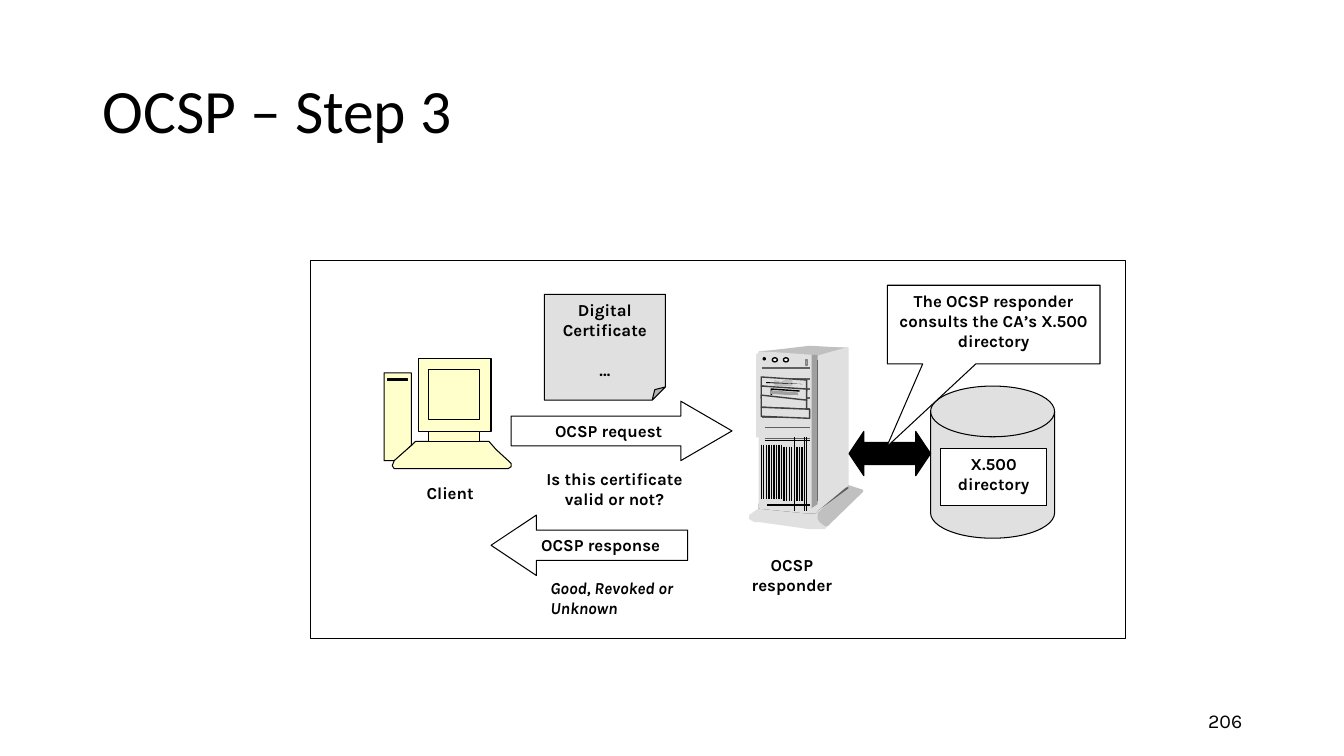
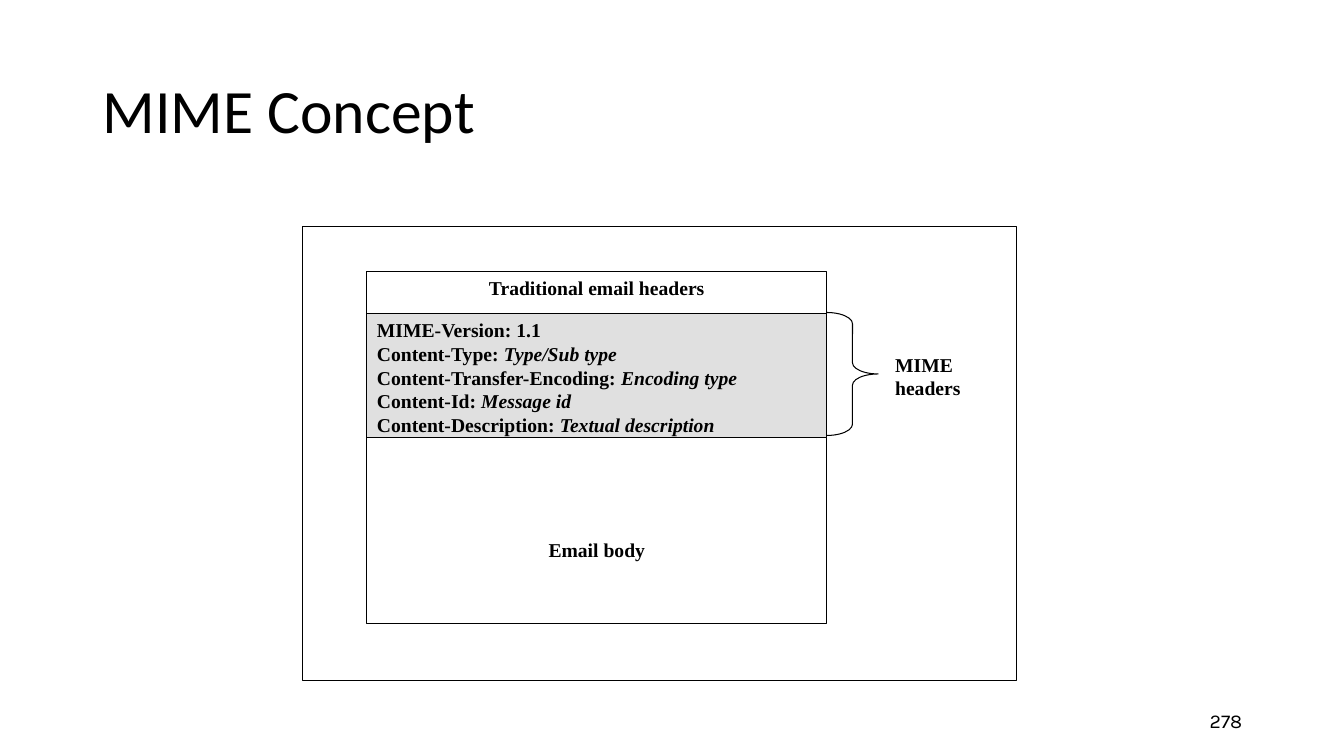
"""Build two slides on network security: an OCSP exchange and the MIME concept."""
from dataclasses import dataclass
from typing import NamedTuple, Optional

from lxml import etree
from pptx import Presentation
from pptx.dml.color import RGBColor
from pptx.enum.shapes import MSO_CONNECTOR, MSO_SHAPE
from pptx.enum.text import MSO_ANCHOR, PP_ALIGN
from pptx.oxml.ns import qn
from pptx.shapes.base import BaseShape
from pptx.slide import Slide
from pptx.util import Inches, Pt

LEFT, CENTER, RIGHT = PP_ALIGN.LEFT, PP_ALIGN.CENTER, PP_ALIGN.RIGHT
TOP, MIDDLE = MSO_ANCHOR.TOP, MSO_ANCHOR.MIDDLE
STRAIGHT = MSO_CONNECTOR.STRAIGHT
RECT, OVAL = MSO_SHAPE.RECTANGLE, MSO_SHAPE.OVAL
CYLINDER, NOTE = MSO_SHAPE.FLOWCHART_MAGNETIC_DISK, MSO_SHAPE.FOLDED_CORNER
RIGHT_ARROW, LEFT_ARROW = MSO_SHAPE.RIGHT_ARROW, MSO_SHAPE.LEFT_ARROW
TWO_WAY_ARROW = MSO_SHAPE.LEFT_RIGHT_ARROW
CALLOUT, BRACE = MSO_SHAPE.RECTANGULAR_CALLOUT, MSO_SHAPE.RIGHT_BRACE

COLORS = {
    "black": "000000", "white": "FFFFFF", "cream": "FFFFCC", "pale": "E0E0E0",
    "silver": "C0C0C0", "gray": "A0A0A0", "medium": "808080",
    "dim": "606060", "dark": "404040",
}
TITLE_FONT, DIAGRAM_FONT, MAIL_FONT = "Calibri", "Karla", "Times New Roman"
THIN, SERVER_LINE = 0.75, 1
UNITS_PER_INCH = 100


class TextLine(NamedTuple):
    roman: str = ""
    italic: str = ""
    space_before: float = 0


class TextStyle(NamedTuple):
    font: str
    size: float
    bold: bool = True
    align: PP_ALIGN = CENTER


DIAGRAM = TextStyle(DIAGRAM_FONT, 12)
DIAGRAM_LEFT = DIAGRAM._replace(align=LEFT)
MAIL = TextStyle(MAIL_FONT, 14)
MAIL_LEFT = MAIL._replace(align=LEFT)
NUMBER = TextStyle(DIAGRAM_FONT, 14, False, RIGHT)
TITLE = TextStyle(TITLE_FONT, 44, False, LEFT)


@dataclass(frozen=True)
class Block:
    """A preset shape; lengths are in inches."""
    box: tuple[float, float, float, float]
    lines: tuple[TextLine, ...] = ()
    style: TextStyle = DIAGRAM
    preset: MSO_SHAPE = RECT
    fill: Optional[str] = "white"
    line: Optional[str] = "black"
    width: float = THIN
    adjustments: tuple[float, ...] = ()
    top_inset: float = 0.05


@dataclass(frozen=True)
class Outline:
    """A freeform; points are in hundredths of an inch."""
    points: tuple[tuple[int, int], ...]
    fill: Optional[str]
    line: Optional[str] = None
    width: float = SERVER_LINE
    closed: bool = True


class Stroke(NamedTuple):
    x1: float
    y1: float
    x2: float
    y2: float
    color: str = "black"


def rgb(color: str) -> RGBColor:
    return RGBColor.from_string(COLORS[color])


def paint(shape: BaseShape, fill: Optional[str], line: Optional[str], width: float) -> None:
    shape.shadow.inherit = False
    if fill:
        shape.fill.solid()
        shape.fill.fore_color.rgb = rgb(fill)
    else:
        shape.fill.background()
    if line:
        shape.line.color.rgb = rgb(line)
        shape.line.width = Pt(width)
    else:
        shape.line.fill.background()


def write(shape: BaseShape, lines: tuple[TextLine, ...], style: TextStyle,
          anchor: MSO_ANCHOR = TOP) -> None:
    frame = shape.text_frame
    frame.word_wrap = True
    frame.vertical_anchor = anchor
    for index, line in enumerate(lines):
        paragraph = frame.add_paragraph() if index else frame.paragraphs[0]
        paragraph.alignment = style.align
        if line.space_before:
            paragraph.space_before = Pt(line.space_before)
        font = paragraph.font
        font.name, font.size, font.bold = style.font, Pt(style.size), style.bold
        font.color.rgb = rgb("black")
        for text, italic in ((line.roman, False), (line.italic, True)):
            if text:
                run = paragraph.add_run()
                run.text = text
                if italic:
                    run.font.italic = True


def adjust(shape: BaseShape, values: tuple[float, ...]) -> None:
    guides = shape._element.spPr.find(qn("a:prstGeom")).find(qn("a:avLst"))
    for guide in list(guides):
        guides.remove(guide)
    for index, value in enumerate(values, 1):
        name = f"adj{index}" if len(values) > 1 else "adj"
        etree.SubElement(guides, qn("a:gd"), name=name, fmla=f"val {round(value * 100000)}")


def draw_block(slide: Slide, block: Block) -> None:
    shape = slide.shapes.add_shape(block.preset, *map(Inches, block.box))
    if block.adjustments:
        adjust(shape, block.adjustments)
    paint(shape, block.fill, block.line, block.width)
    if block.lines:
        shape.text_frame.margin_top = Inches(block.top_inset)
        write(shape, block.lines, block.style)


def draw_outline(slide: Slide, outline: Outline) -> None:
    start, *rest = outline.points
    builder = slide.shapes.build_freeform(*start, scale=Inches(1) / UNITS_PER_INCH)
    builder.add_line_segments(rest, close=outline.closed)
    paint(builder.convert_to_shape(), outline.fill, outline.line, outline.width)


def draw_stroke(slide: Slide, stroke: Stroke) -> None:
    connector = slide.shapes.add_connector(STRAIGHT, *map(Inches, stroke[:4]))
    connector.line.color.rgb = rgb(stroke.color)
    connector.line.width = Pt(SERVER_LINE)
    etree.SubElement(connector._element.spPr, qn("a:effectLst"))


def draw_parts(slide: Slide, parts: tuple) -> None:
    painters = {Block: draw_block, Outline: draw_outline, Stroke: draw_stroke}
    for part in parts:
        painters[type(part)](slide, part)


def add_titled_slide(deck: Presentation, heading: str, number: str) -> Slide:
    slide = deck.slides.add_slide(deck.slide_layouts[5])
    page = slide.shapes.add_textbox(*map(Inches, (9.42, 6.95, 3, 0.4)))
    write(page, (TextLine(number),), NUMBER, MIDDLE)
    title = slide.shapes.title
    title.left, title.top, title.width, title.height = map(Inches, (0.92, 0.4, 11.5, 1.45))
    write(title, (TextLine(heading),), TITLE, MIDDLE)
    title.text_frame.paragraphs[0].line_spacing = 0.9
    return slide


def bay(top: int, right: int, left_height: int, right_top: int, right_bottom: int) -> Outline:
    return Outline(((755, top), (755, top + left_height), (right, right_bottom),
                    (right, right_top)), "pale", "dark")


CLIENT = (
    Outline(((381, 370), (408, 370), (408, 442), (392, 457), (381, 457)),
            "cream", "black", THIN),
    Outline(((412, 438), (485, 438), (492, 446), (504, 457), (507, 460), (507, 463),
             (504, 465), (391, 465), (389, 462), (391, 457), (408, 442)),
            "cream", "black", THIN),
    Block((4.15, 3.56, 0.72, 0.72), fill="cream"),
    Block((4.25, 4.28, 0.51, 0.1), fill="cream"),
    Block((4.25, 3.67, 0.51, 0.49), fill="cream"),
    Block((3.84, 3.76, 0.2, 0.02), fill="black"),
    Block((4.06, 4.74, 0.81, 0.29), (TextLine("Client"),), line=None),
)

CASE = (
    Outline(((753, 504), (743, 511), (743, 515), (748, 518), (753, 518), (803, 525),
             (818, 525), (823, 520), (838, 481)), "pale"),
    Outline(((811, 509), (811, 515), (813, 518), (818, 522), (821, 522), (823, 520),
             (856, 488), (856, 486), (841, 481)), "silver"),
    Outline(((841, 484), (811, 506), (808, 509), (803, 509), (753, 504), (753, 500)),
            "dim", "dim"),
    Outline(((841, 345), (841, 481), (811, 506), (808, 509), (803, 509), (753, 504),
             (753, 349), (805, 345)), "pale", "pale"),
    Outline(((753, 349), (803, 343), (838, 345), (806, 354), (753, 352)), "silver"),
    Outline(((753, 497), (753, 500), (808, 502), (808, 354), (805, 352), (763, 349),
             (753, 349), (750, 352), (750, 434), (753, 434)), "pale"),
    Stroke(8.11, 3.57, 8.11, 4.97),
    Outline(((805, 504), (811, 500), (811, 352), (805, 352)), "gray"),
)

SEAMS = tuple(
    Stroke(left, y, 8.03, y, color) for left, y, color in (
        (7.56, 3.65, "dim"), (7.59, 3.76, "dim"), (7.59, 3.86, "dim"),
        (7.59, 3.95, "dim"), (7.59, 4.05, "dim"), (7.56, 4.14, "dim"),
        (7.59, 4.24, "dim"), (7.59, 4.35, "dim"), (7.59, 4.37, "black"),
        (7.61, 5.01, "black")))

GRILLE = tuple(
    Stroke(x, top, x, top + 0.54)
    for x, top in ((7.55 + 0.43 * i / 17, 4.41 if i < 9 else 4.43) for i in range(18))
) + tuple(Stroke(x, 4.34, x, 5.07) for x in (7.88, 7.98, 8))

LIGHTS = tuple(
    Block((x, 3.55, size, min(size, 0.04)), preset=OVAL, fill=fill, width=SERVER_LINE)
    for x, size, fill in ((7.57, 0.02, "black"), (7.66, 0.05, "white"), (7.77, 0.05, "white"))
) + (Block((7.99, 3.57, 0.02, 0.05), fill="gray", line="medium", width=SERVER_LINE),)

DRIVES = (
    bay(374, 800, 9, 377, 388),
    bay(383, 800, 12, 386, 397),
    bay(392, 800, 12, 397, 406),
    bay(404, 803, 9, 406, 415),
    Outline(((765, 392), (765, 386), (793, 388)), None, "black", closed=False),
    Outline(((765, 388), (765, 390), (791, 392), (791, 390)), "gray", "gray"),
    Outline(((783, 392), (791, 392), (791, 395)), "pale"),
    Outline(((768, 377), (768, 383), (786, 383), (786, 377), (778, 377), (775, 379)),
            "silver"),
    Outline(((760, 379), (796, 381), (760, 380)), "black"),
)

EXCHANGE = (
    Block((9.33, 4.45, 1.05, 0.57), (TextLine("X.500 directory"),)),
    Block((5.07, 3.98, 2.19, 0.59), (TextLine("OCSP request"),),
          preset=RIGHT_ARROW, fill=None, adjustments=(0.5, 0.861)),
    Block((5.4, 2.92, 1.2, 1.05),
          (TextLine("Digital Certificate"), TextLine("…", space_before=14)),
          preset=NOTE, fill="pale", adjustments=(0.125,)),
    Block((5.16, 4.6, 1.87, 0.62), (TextLine("Is this certificate valid or not?"),), line=None),
    Block((7.27, 5.45, 1.17, 0.56), (TextLine("OCSP responder"),), line=None),
    Block((8.42, 4.28, 0.81, 0.44), preset=TWO_WAY_ARROW, fill="black",
          adjustments=(0.5, 0.335)),
    Block((8.8, 2.83, 2.11, 0.78),
          (TextLine("The OCSP responder consults the CA’s X.500 directory"),),
          preset=CALLOUT, adjustments=(-0.503, 1.557)),
    Block((4.87, 5.11, 1.95, 0.6), (TextLine("OCSP response"),),
          preset=LEFT_ARROW, adjustments=(0.5, 0.75)),
    Block((5.36, 5.68, 1.53, 0.52), (TextLine(italic="Good, Revoked or Unknown"),),
          DIAGRAM_LEFT, line=None),
)

OCSP = (
    Block((3.08, 2.58, 8.08, 3.75)),
    *CLIENT,
    Block((9.23, 3.83, 1.23, 1.51), preset=CYLINDER, fill="pale"),
    *CASE, *SEAMS, *GRILLE, *LIGHTS, *DRIVES, *EXCHANGE,
)

MIME_FIELDS = (
    TextLine("MIME-Version: 1.1"),
    TextLine("Content-Type: ", "Type/Sub type"),
    TextLine("Content-Transfer-Encoding: ", "Encoding type"),
    TextLine("Content-Id: ", "Message id"),
    TextLine("Content-Description: ", "Textual description"),
)

MIME = (
    Block((3, 2.25, 7.08, 4.5)),
    Block((3.64, 2.69, 4.56, 0.42), (TextLine("Traditional email headers"),), MAIL),
    Block((3.64, 3.11, 4.56, 1.23), MIME_FIELDS, MAIL_LEFT, fill="pale"),
    Block((3.64, 4.34, 4.56, 1.85), (TextLine("Email body"),), MAIL, top_inset=1),
    Block((8.2, 3.1, 0.51, 1.22), preset=BRACE, fill=None, adjustments=(0.219, 0.5)),
    Block((8.78, 3.45, 1.04, 0.56), (TextLine("MIME headers"),), MAIL_LEFT, line=None),
)


def main() -> None:
    deck = Presentation()
    deck.slide_width, deck.slide_height = Inches(13.33), Inches(7.5)
    for heading, number, parts in (("OCSP – Step 3", "206", OCSP),
                                   ("MIME Concept", "278", MIME)):
        draw_parts(add_titled_slide(deck, heading, number), parts)
    deck.save("out.pptx")


if __name__ == "__main__":
    main()
